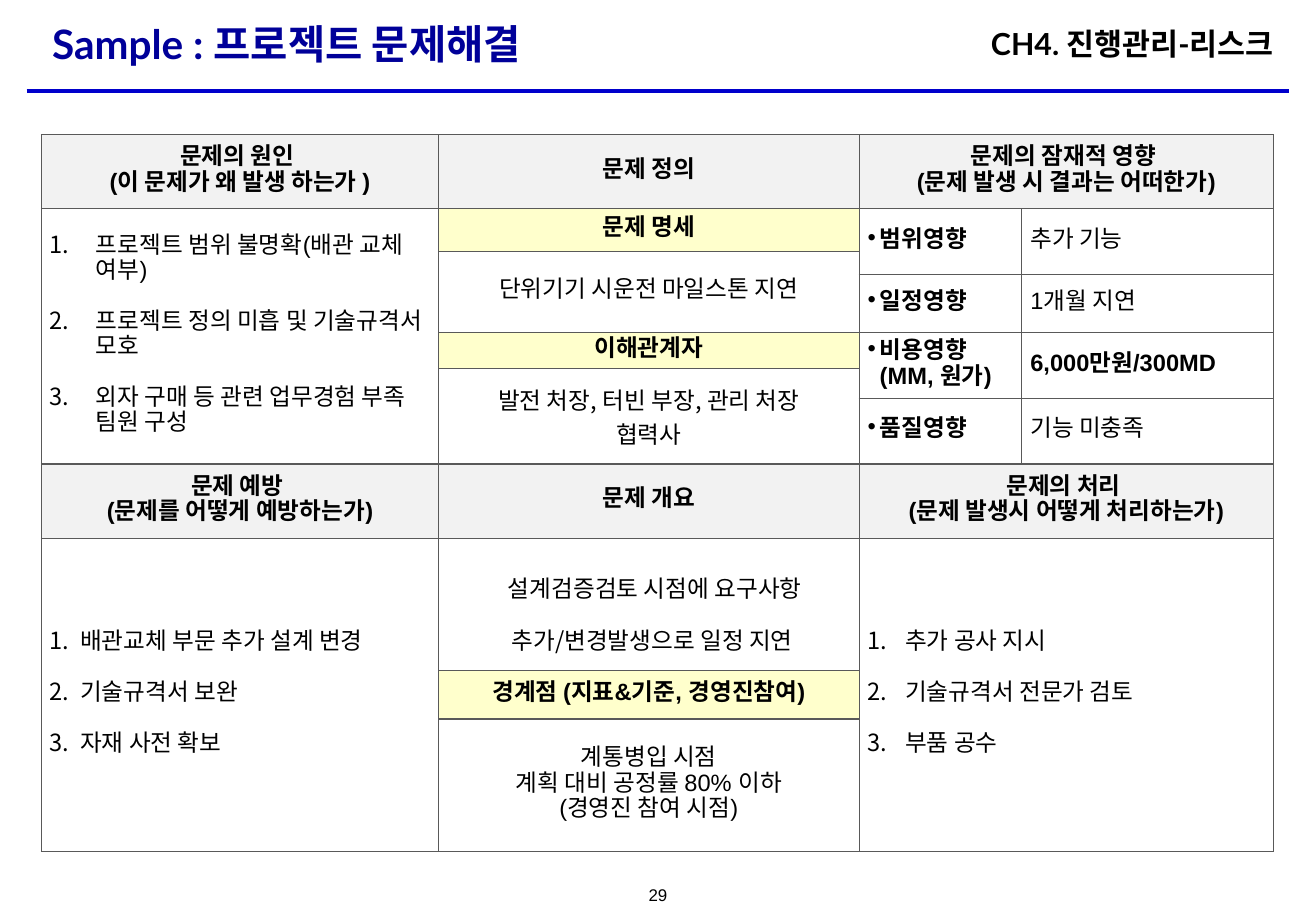
from lxml import etree
from pptx import Presentation
from pptx import util as u
from pptx.dml.color import RGBColor
from pptx.enum import shapes, text
from pptx.oxml import parse_xml
from pptx.oxml.ns import nsdecls, qn

NAVY = RGBColor(0x00, 0x00, 0x99)
BLUE = RGBColor(0x00, 0x00, 0xCC)
BLACK = RGBColor(0x00, 0x00, 0x00)
GRAY = RGBColor(0xF2, 0xF2, 0xF2)
YELLOW = RGBColor(0xFF, 0xFF, 0xCC)
BORDER = RGBColor(0x59, 0x59, 0x59)
ARIAL, LATO, NOTO = "Arial", "Lato", "Noto Sans CJK KR"
LEFT, CENTER, RIGHT = (text.PP_ALIGN.LEFT, text.PP_ALIGN.CENTER, text.PP_ALIGN.RIGHT)

COLUMNS = [3.27, 3.46, 1.34, 2.07]
ROWS = [0.61, 0.35, 0.19, 0.48, 0, 0.29, 0.25, 0.54, 0.61, 1.09, 0.4, 1.09]

HEADER = dict(fill=GRAY, bold=True, align=CENTER)
LABEL = dict(fill=YELLOW, bold=True, align=CENTER)
IMPACT = dict(bold=True, bullet="•", indent=0.1)
CENTERED = dict(align=CENTER, after=0)
NOTO_LINES = dict(align=CENTER, after=0, font=NOTO, spacing=1.0)
OVERVIEW = dict(align=CENTER, font=NOTO, spacing=1.5, margin=0.1)


def numbered(indent, bullet_font=NOTO):
    return dict(bullet="1.", bullet_font=bullet_font, indent=indent, after=0, gap=15)


# row, column, row span, column span, paragraphs, style
CELLS = [
    (0, 0, 1, 1, ["문제의 원인 \n(이 문제가 왜 발생 하는가 )"], HEADER),
    (0, 1, 1, 1, ["문제 정의"], HEADER),
    (0, 2, 1, 2, ["문제의 잠재적 영향 \n(문제 발생 시 결과는 어떠한가)"], HEADER),
    (1, 0, 7, 1, ["프로젝트 범위 불명확(배관 교체 여부)",
                  "프로젝트 정의 미흡 및 기술규격서 모호",
                  "외자 구매 등 관련 업무경험 부족 팀원 구성"], numbered(0.38)),
    (1, 1, 1, 1, ["문제 명세"], LABEL),
    (2, 1, 2, 1, ["단위기기 시운전 마일스톤 지연"], CENTERED),
    (4, 1, 2, 1, ["이해관계자"], LABEL),
    (6, 1, 2, 1, ["발전 처장, 터빈 부장, 관리 처장", "협력사"], NOTO_LINES),
    (1, 2, 2, 1, ["범위영향"], IMPACT),
    (1, 3, 2, 1, ["추가 기능"], {}),
    (3, 2, 2, 1, ["일정영향"], IMPACT),
    (3, 3, 2, 1, ["1개월 지연"], {}),
    (5, 2, 2, 1, ["비용영향\n(MM, 원가)"], IMPACT),
    (5, 3, 2, 1, ["6,000만원/300MD"], dict(bold=True)),
    (7, 2, 1, 1, ["품질영향"], IMPACT),
    (7, 3, 1, 1, ["기능 미충족"], {}),
    (8, 0, 1, 1, ["문제 예방 \n(문제를 어떻게 예방하는가)"], HEADER),
    (8, 1, 1, 1, ["문제 개요"], HEADER),
    (8, 2, 1, 2, ["문제의 처리 \n(문제 발생시 어떻게 처리하는가)"], HEADER),
    (9, 0, 3, 1, ["배관교체 부문 추가 설계 변경", "기술규격서 보완", "자재 사전 확보"],
     numbered(0.25)),
    (9, 1, 1, 1, ["설계검증검토 시점에 요구사항 추가/변경발생으로 일정 지연 "], OVERVIEW),
    (9, 2, 3, 2, ["추가 공사 지시", "기술규격서 전문가 검토", "부품 공수"],
     numbered(0.31, ARIAL)),
    (10, 1, 1, 1, ["경계점 (지표&기준, 경영진참여)"], LABEL),
    (11, 1, 1, 1, ["계통병입 시점", "계획 대비 공정률 80% 이하", "(경영진 참여 시점)"], CENTERED),
]


def apply(target, values):
    for name, value in values.items():
        setattr(target, name, value)


def write(para, words, name, size, color=BLACK, bold=False, align=LEFT):
    para.text = words
    para.alignment = align
    for span in para.runs:
        apply(span.font, dict(name=name, size=u.Pt(size), bold=bold))
        span.font.color.rgb = color
        east_asian = etree.SubElement(span.font._element, qn("a:ea"))
        east_asian.set("typeface", NOTO)


def set_bullet(para, style):
    """Add a hanging bullet or number, or only a left margin."""
    props = para._p.get_or_add_pPr()
    indent = style.get("indent", 0)
    props.set("marL", str(u.Inches(style.get("margin", indent))))
    props.set("indent", str(-u.Inches(indent)))
    mark = style.get("bullet")
    if not mark:
        etree.SubElement(props, qn("a:buNone"))
        return
    etree.SubElement(props, qn("a:buFont")).set("typeface", style.get("bullet_font", ARIAL))
    if mark == "1.":
        etree.SubElement(props, qn("a:buAutoNum")).set("type", "arabicPeriod")
    else:
        etree.SubElement(props, qn("a:buChar")).set("char", mark)


def set_borders(cell):
    props = cell._tc.get_or_add_tcPr()
    for place, side in enumerate(("lnL", "lnR", "lnT", "lnB")):
        props.insert(place, parse_xml(
            f'<a:{side} {nsdecls("a")} w="{u.Pt(0.75)}"><a:solidFill>'
            f'<a:srgbClr val="{BORDER}"/></a:solidFill></a:{side}>'))


def fill_cell(cell, lines, style):
    if "fill" in style:
        cell.fill.solid()
        cell.fill.fore_color.rgb = style["fill"]
    frame = cell.text_frame
    for number, line in enumerate(lines):
        para = frame.add_paragraph() if number else frame.paragraphs[0]
        write(para, line, style.get("font", ARIAL), 14,
              bold=style.get("bold", False), align=style.get("align", LEFT))
        last = number == len(lines) - 1
        after = style.get("after", 6) if last else style.get("gap", 0)
        apply(para, dict(line_spacing=style.get("spacing", u.Pt(15)),
                         space_before=u.Pt(0), space_after=u.Pt(after)))
        set_bullet(para, style)


def add_problem_table(page, left, top):
    table = page.shapes.add_table(
        len(ROWS), len(COLUMNS), u.Inches(left), u.Inches(top),
        u.Inches(sum(COLUMNS)), u.Inches(sum(ROWS))).table
    apply(table, dict(first_row=False, horz_banding=False))
    for column, width in zip(table.columns, COLUMNS):
        column.width = u.Inches(width)
    for row, height in zip(table.rows, ROWS):
        row.height = u.Inches(height)
    for cell in table.iter_cells():
        cell.fill.background()
        apply(cell, dict(vertical_anchor=text.MSO_ANCHOR.MIDDLE,
                         margin_left=u.Inches(0.07), margin_right=u.Inches(0.07),
                         margin_top=u.Inches(0.03), margin_bottom=u.Inches(0.03)))
    for row, column, tall, wide, lines, style in CELLS:
        cell = table.cell(row, column)
        if tall * wide > 1:
            cell.merge(table.cell(row + tall - 1, column + wide - 1))
        fill_cell(cell, lines, style)
    for cell in table.iter_cells():
        set_borders(cell)


def add_label(page, words, left, top, width, height, **look):
    box = page.shapes.add_textbox(*map(u.Inches, (left, top, width, height)))
    box.text_frame.word_wrap = False
    write(box.text_frame.paragraphs[0], words, **look)


def add_heading(page, left, top, width, height):
    title = page.shapes.title
    apply(title, dict(left=u.Inches(left), top=u.Inches(top),
                      width=u.Inches(width), height=u.Inches(height)))
    title.text_frame.vertical_anchor = text.MSO_ANCHOR.MIDDLE
    write(title.text_frame.paragraphs[0], "Sample : 프로젝트 문제해결", LATO, 24, NAVY, True)
    add_label(page, "CH4. 진행관리-리스크", left + width - 2.96, top + 0.1, 3.04, 0.4,
              name=LATO, size=18, bold=True, align=RIGHT)
    rule_y = u.Inches(top + height + 0.09)
    rule = page.shapes.add_connector(shapes.MSO_CONNECTOR.STRAIGHT, u.Inches(left - 0.11),
                                     rule_y, u.Inches(left + width + 0.11), rule_y)
    rule.line.color.rgb = BLUE
    rule.line.width = u.Pt(2.25)
    etree.SubElement(rule._element.spPr, qn("a:effectLst"))


def main():
    deck = Presentation()
    apply(deck, dict(slide_width=u.Inches(10.83), slide_height=u.Inches(7.5)))
    page = deck.slides.add_slide(deck.slide_layouts[5])
    add_heading(page, 0.33, 0.06, 10.17, 0.6)
    add_problem_table(page, 0.34, 1.11)
    add_label(page, "29", 5.21, 7.23, 0.41, 0.27, name=ARIAL, size=10, align=CENTER)
    deck.save("out.pptx")


if __name__ == "__main__":
    main()
